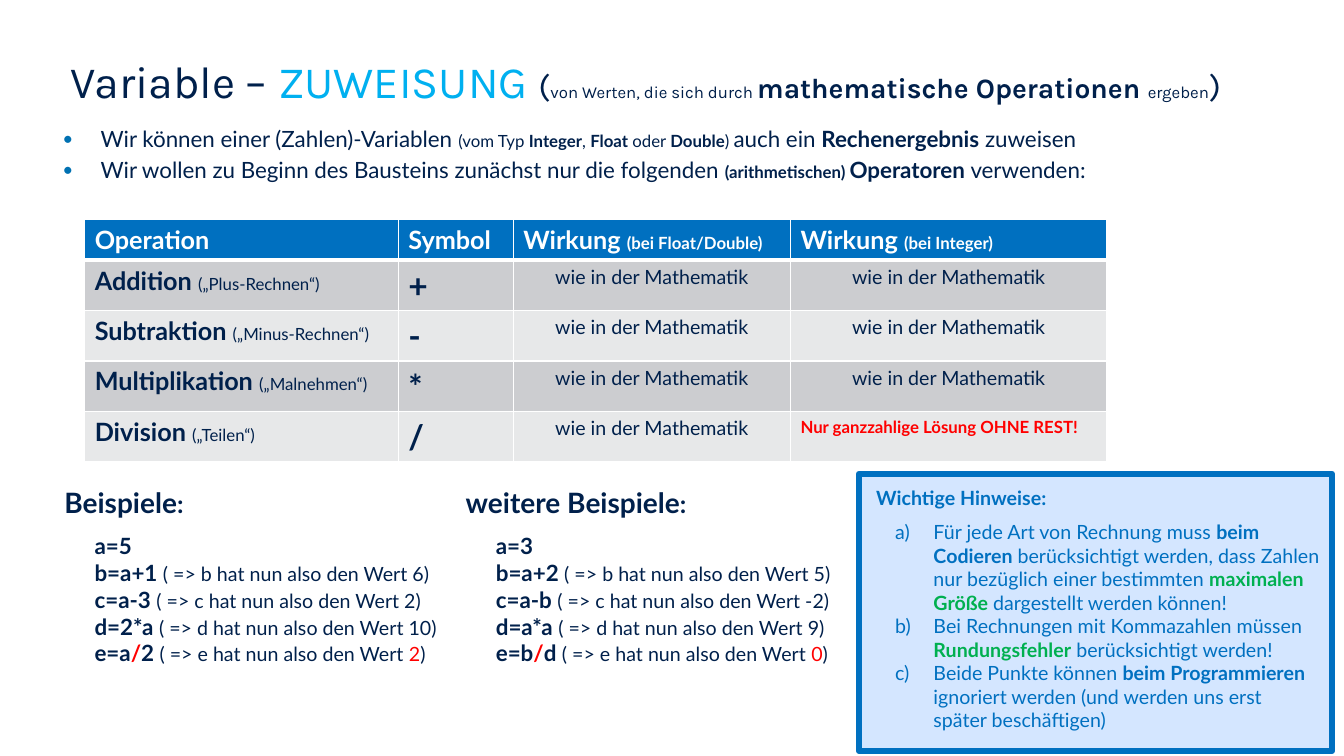
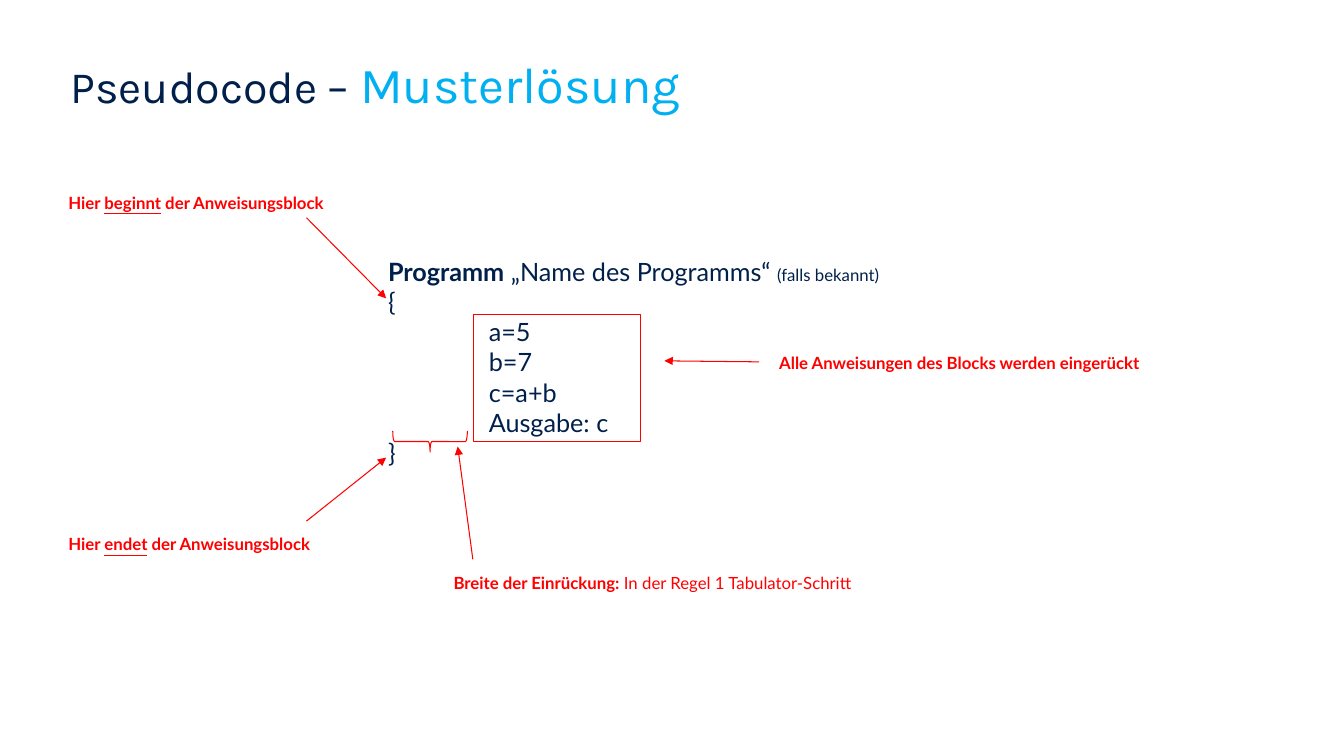
"""Build two slides on variable assignment and pseudocode."""
from pptx import Presentation
from pptx.dml.color import RGBColor
from pptx.enum import shapes, text
from pptx.oxml.ns import qn
from pptx.util import Pt
from lxml import etree

PX = 9144
NAVY, BLUE, CYAN, RED, GREEN = "00204B", "0070C0", "00B0F0", "FF0000", "00B050"
WHITE, PALE, DARK_BAND, LIGHT_BAND = "FFFFFF", "D4E6FF", "CCCDD0", "E7E8E9"
rgb = RGBColor.from_string


def write(tf, paragraphs, font="Lato"):
    """Fill a text frame with paragraphs of (text, size, colour, bold, underline) runs."""
    for i, runs in enumerate(paragraphs):
        p = tf.paragraphs[0] if i == 0 else tf.add_paragraph()
        for content, size, colour, *style in runs:
            r = p.add_run()
            r.text = content
            r.font.name, r.font.size = font, Pt(size)
            r.font.color.rgb = rgb(colour)
            r.font.bold = "b" in style
            r.font.underline = "u" in style


def textbox(s, frame, paragraphs):
    """Add a wrapping text box and return its text frame."""
    tf = s.shapes.add_textbox(*[v * PX for v in frame]).text_frame
    tf.word_wrap = True
    write(tf, paragraphs)
    return tf


prs = Presentation()
prs.slide_width, prs.slide_height = 1333 * PX, 750 * PX

titles = [
    [("Variable – ", 32, NAVY), ("ZUWEISUNG ", 32, CYAN), ("(", 24, NAVY),
     ("von Werten, die sich durch ", 12, NAVY),
     ("mathematische Operationen ", 20, NAVY, "b"),
     ("ergeben", 12, NAVY), (")", 24, NAVY)],
    [("Pseudocode – ", 32, NAVY), ("Musterlösung", 36, CYAN)],
]
slides = []
for runs in titles:
    s = prs.slides.add_slide(prs.slide_layouts[5])
    sp = s.shapes.title
    sp.left, sp.top, sp.width, sp.height = [v * PX for v in (60, 48, 1218, 79)]
    tf = sp.text_frame
    tf.vertical_anchor = text.MSO_ANCHOR.TOP
    write(tf, [runs], "Karla")
    tf.paragraphs[0].alignment = text.PP_ALIGN.LEFT
    slides.append(s)
assignment, pseudocode = slides

s = assignment
intro = textbox(s, (52, 119, 1205, 87), [
    [("Wir können einer (Zahlen)-Variablen ", 16, NAVY), ("(vom Typ ", 12, NAVY),
     ("Integer", 12, NAVY, "b"), (", ", 12, NAVY), ("Float", 12, NAVY, "b"),
     (" oder ", 12, NAVY), ("Double", 12, NAVY, "b"), (") ", 12, NAVY),
     ("auch ein ", 16, NAVY), ("Rechenergebnis", 16, NAVY, "b"),
     (" zuweisen", 16, NAVY)],
    [("Wir wollen zu Beginn des Bausteins zunächst nur die folgenden ", 16, NAVY),
     ("(arithmetischen) ", 12, NAVY, "b"), ("Operatoren ", 16, NAVY, "b"),
     ("verwenden:", 16, NAVY)],
])

same = [("wie in der Mathematik", 14, NAVY)]
rows = [[
    [("Operation", 18, WHITE, "b")],
    [("Symbol", 18, WHITE, "b")],
    [("Wirkung ", 18, WHITE, "b"), ("(bei Float/Double)", 12, WHITE, "b")],
    [("Wirkung ", 18, WHITE, "b"), ("(bei Integer)", 12, WHITE, "b")],
]]
for name, nickname, symbol in [
    ("Addition", "Plus-Rechnen", "+"),
    ("Subtraktion", "Minus-Rechnen", "-"),
    ("Multiplikation", "Malnehmen", "*"),
    ("Division", "Teilen", "/"),
]:
    rows.append([
        [(name + " ", 18, NAVY, "b"), (f"(„{nickname}“)", 12, NAVY)],
        [(symbol, 24, NAVY, "b")], same, same,
    ])
rows[-1][-1] = [("Nur ganzzahlige Lösung OHNE REST!", 12, RED, "b")]

table = s.shapes.add_table(5, 4, 84 * PX, 218 * PX, 1014 * PX, 240 * PX).table
for column, width in zip(table.columns, (311, 114, 275, 314)):
    column.width = width * PX
for i, row in enumerate(rows):
    table.rows[i].height = (50 if i else 40) * PX
    for j, runs in enumerate(row):
        cell = table.cell(i, j)
        cell.fill.solid()
        cell.fill.fore_color.rgb = rgb((DARK_BAND if i % 2 else LIGHT_BAND) if i else BLUE)
        write(cell.text_frame, [runs])
        if runs is same:
            cell.text_frame.paragraphs[0].alignment = text.PP_ALIGN.CENTER
        if i == 0:
            border = etree.Element(qn("a:lnB"), w=str(Pt(3)))
            fill = etree.SubElement(border, qn("a:solidFill"))
            etree.SubElement(fill, qn("a:srgbClr"), val=WHITE)
            cell._tc.get_or_add_tcPr().insert(0, border)

examples = [
    ("Beispiele", 144,
     [("a=5", ""), ("b=a+1", "6"), ("c=a-3", "2"), ("d=2*a", "10"), ("e=a/2", "2")]),
    ("weitere Beispiele", 252,
     [("a=3", ""), ("b=a+2", "5"), ("c=a-b", "-2"), ("d=a*a", "9"), ("e=b/d", "0")]),
]
for i, (heading, width, steps) in enumerate(examples):
    left = 54 + 398 * i
    textbox(s, (left, 477, width, 44),
            [[(heading, 20, NAVY, "b"), (":", 18, NAVY, "b")]])
    lines = []
    for step, value in steps:
        before, slash, after = step.partition("/")
        runs = [(before, 16, NAVY, "b")]
        if slash:
            runs += [(slash, 16, RED, "b"), (after, 16, NAVY, "b")]
        if value:
            runs += [(" ", 16, NAVY, "b"),
                     (f"( => {step[0]} hat nun also den Wert ", 14, NAVY),
                     (value, 14, RED if slash else NAVY), (")", 14, NAVY)]
        lines.append(runs)
    textbox(s, (left + 30, 523, 370, 168), lines)

sp = s.shapes.add_shape(shapes.MSO_SHAPE.RECTANGLE, 852 * PX, 470 * PX, 469 * PX, 275 * PX)
sp.shadow.inherit = False
sp.fill.solid()
sp.fill.fore_color.rgb = rgb(PALE)
sp.line.color.rgb = rgb(BLUE)
sp.line.width = Pt(4.5)
textbox(s, (859, 477, 198, 34), [[("Wichtige Hinweise:", 14, BLUE, "b")]])
hints = textbox(s, (878, 511, 441, 222), [
    [("Für jede Art von Rechnung muss ", 14, BLUE), ("beim Codieren ", 14, BLUE, "b"),
     ("berücksichtigt werden, dass Zahlen nur bezüglich einer bestimmten ", 14, BLUE),
     ("maximalen Größe ", 14, GREEN, "b"), ("dargestellt werden können!", 14, BLUE)],
    [("Bei Rechnungen mit Kommazahlen müssen ", 14, BLUE),
     ("Rundungsfehler", 14, GREEN, "b"), (" berücksichtigt werden!", 14, BLUE)],
    [("Beide Punkte können ", 14, BLUE), ("beim Programmieren ", 14, BLUE, "b"),
     ("ignoriert werden (und werden uns erst später beschäftigen)", 14, BLUE)],
])

for p in intro.paragraphs:
    p.space_before = Pt(3.2)
for tf, tag, attribute, mark in [
    (intro, "a:buChar", "char", "•"),
    (hints, "a:buAutoNum", "type", "alphaLcParenR"),
]:
    for p in tf.paragraphs:
        pPr = p._p.get_or_add_pPr()
        pPr.set("marL", str(38 * PX))
        pPr.set("indent", str(-38 * PX))
        if tf is intro:
            colour = etree.SubElement(pPr, qn("a:buClr"))
            etree.SubElement(colour, qn("a:srgbClr"), val="0071B2")
            etree.SubElement(pPr, qn("a:buSzPct"), val="85000")
            etree.SubElement(pPr, qn("a:buFont"), typeface="Lato")
        etree.SubElement(pPr, qn(tag)).set(attribute, mark)

s = pseudocode
program = textbox(s, (375, 249, 535, 222), [
    [("Programm", 18, NAVY, "b"), (" „Name des Programms“ ", 18, NAVY),
     ("(falls bekannt)", 12, NAVY)],
    *[[(line, 18, NAVY)] for line in ("{", "\ta=5", "\tb=7", "\tc=a+b", "\tAusgabe: c", "}")],
])
for p in program.paragraphs:
    tabs = etree.SubElement(p._p.get_or_add_pPr(), qn("a:tabLst"))
    etree.SubElement(tabs, qn("a:tab"), pos=str(100 * PX), algn="l")

notes = [
    ((58, 186, 295, 30), [("Hier ", 12, RED, "b"), ("beginnt", 12, RED, "b", "u"),
                          (" der Anweisungsblock", 12, RED, "b")]),
    ((58, 525, 295, 30), [("Hier ", 12, RED, "b"), ("endet", 12, RED, "b", "u"),
                          (" der Anweisungsblock", 12, RED, "b")]),
    ((763, 345, 415, 30), [("Alle Anweisungen des Blocks werden eingerückt", 12, RED, "b")]),
    ((440, 563, 470, 30), [("Breite der Einrückung: ", 12, RED, "b"),
                           ("In der Regel 1 Tabulator-Schritt", 12, RED)]),
]
for frame, runs in notes:
    textbox(s, frame, [runs])

for kind, frame, rotation, weight in [
    (shapes.MSO_SHAPE.RECTANGLE, (470, 312, 165, 126), 0, 0.85),
    (shapes.MSO_SHAPE.RIGHT_BRACE, (416, 401, 21, 74), 90, 0.75),
]:
    sp = s.shapes.add_shape(kind, *[v * PX for v in frame])
    sp.shadow.inherit = False
    sp.rotation = rotation
    sp.fill.background()
    sp.line.color.rgb = rgb(RED)
    sp.line.width = Pt(weight)

for ends in [(304, 216, 383, 296), (304, 517, 383, 454),
             (753, 359, 659, 358), (469, 555, 454, 443)]:
    arrow = s.shapes.add_connector(shapes.MSO_CONNECTOR.STRAIGHT, *[v * PX for v in ends])
    arrow.line.color.rgb = rgb(RED)
    arrow.line.width = Pt(0.75)
    etree.SubElement(arrow.line._get_or_add_ln(), qn("a:tailEnd"), type="triangle")
    etree.SubElement(arrow._element.spPr, qn("a:effectLst"))

prs.save("out.pptx")
